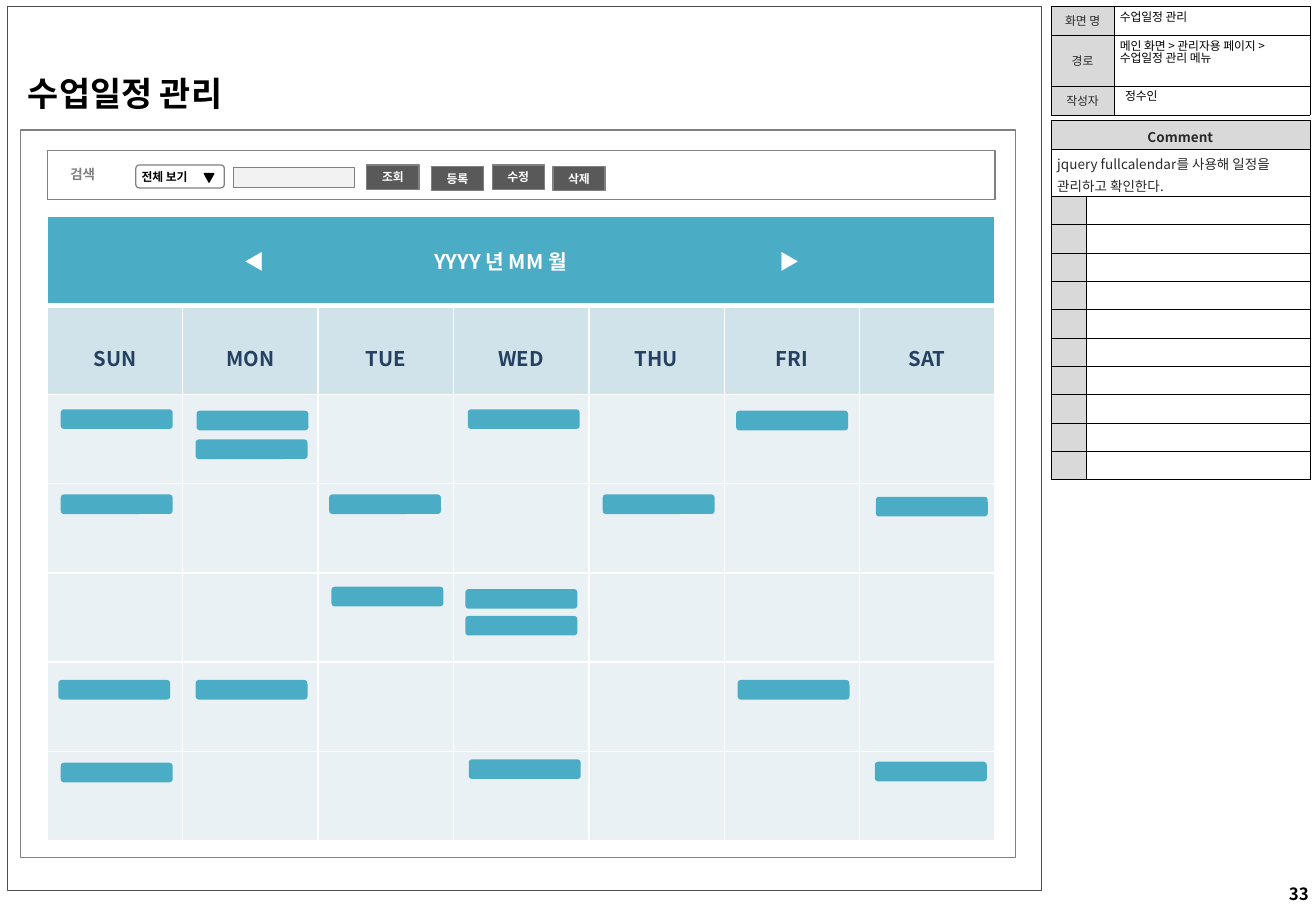
from dataclasses import dataclass
from typing import Any

from lxml.etree import SubElement
from pptx import Presentation
from pptx.dml.color import RGBColor
from pptx.enum.shapes import MSO_SHAPE as Preset
from pptx.enum.text import MSO_ANCHOR as Anchor, MSO_AUTO_SIZE as AutoSize, PP_ALIGN as Align
from pptx.oxml.ns import qn
from pptx.util import Cm, Pt

COLORS = {
    "black": "000000", "white": "FFFFFF", "ink": "292929", "frame": "4D4D4D",
    "gray": "808080", "label": "D9D9D9", "button": "595959", "field": "F2F2F2",
    "teal": "4BACC6", "navy": "254061", "weekday": "D0E3EA", "day": "E9F1F5",
}


def rgb(name):
    """Look up a named colour."""
    return RGBColor.from_string(COLORS[name])


@dataclass
class Wireframe:
    """Holds the style and the current page."""
    page: Any
    font: str = "Noto Sans CJK KR"

    def fill_text(self, frame, text, size=7, color="black", bold=False, align=Align.LEFT,
                  spacing=None, before=0, **layout):
        """Fill a text frame; each newline starts a paragraph."""
        for name, value in layout.items():
            setattr(frame, name, value)
        for index, line in enumerate(text.split("\n")):
            para = frame.paragraphs[0] if index == 0 else frame.add_paragraph()
            para.alignment, para.line_spacing = align, spacing
            para.space_before = Pt(before if index else 0)
            para.text = line
            for span in para.runs:
                values = {"size": Pt(size), "bold": bold, "name": self.font}
                for name, value in values.items():
                    setattr(span.font, name, value)
                span.font.color.rgb = rgb(color)
                SubElement(span.font._element, qn("a:ea")).set("typeface", self.font)

    def place(self, box, area):
        """Move an element to left, top, width, height in centimetres."""
        for name, value in zip(("left", "top", "width", "height"), area):
            setattr(box, name, Cm(value))

    def title(self, text, area):
        """Put the page title in its placeholder."""
        box = self.page.shapes.title
        self.place(box, area)
        self.fill_text(box.text_frame, text, size=20, bold=True, spacing=0.83,
                       vertical_anchor=Anchor.TOP, word_wrap=False, auto_size=AutoSize.NONE)

    def text(self, text, area, **style):
        """Add a wrapped text box."""
        box = self.page.shapes.add_textbox(*map(Cm, area))
        self.fill_text(box.text_frame, text, word_wrap=True, **{"spacing": 0.85, **style})

    def shape(self, area, preset=Preset.RECTANGLE, fill=None, line="gray", round_by=None,
              text="", turn=0, **style):
        """Add a flat preset shape with optional text."""
        box = self.page.shapes.add_shape(preset, *map(Cm, area))
        box.shadow.inherit = False
        box.rotation = turn
        if round_by is not None:
            box.adjustments[0] = round_by
        if fill:
            box.fill.solid()
            box.fill.fore_color.rgb = rgb(fill)
        else:
            box.fill.background()
        if line:
            box.line.color.rgb = rgb(line)
            box.line.width = Pt(0.75)
        else:
            box.line.fill.background()
        if text:
            layout = {"margin_left": 0, "margin_right": 0, "margin_top": 0,
                      "margin_bottom": 0, "vertical_anchor": Anchor.MIDDLE}
            self.fill_text(box.text_frame, text, bold=True, **{**layout, **style})

    def table(self, left, top, widths, heights):
        """Add a table without banding and return its grid."""
        area = left, top, sum(widths), sum(heights)
        grid = self.page.shapes.add_table(len(heights), len(widths), *map(Cm, area)).table
        grid.first_row = grid.horz_banding = False
        for column, width in zip(grid.columns, widths):
            column.width = Cm(width)
        for row, height in zip(grid.rows, heights):
            row.height = Cm(height)
        return grid

    def cell(self, cell, fill, text="", border=("black", 0.25), bottom=None, **style):
        """Format one table cell with borders, fill and text."""
        properties = cell._tc.get_or_add_tcPr()
        for side in "LRTB":
            width = bottom if bottom and side == "B" else border[1]
            edge = SubElement(properties, qn(f"a:ln{side}"), w=str(Pt(width)))
            paint = SubElement(edge, qn("a:solidFill"))
            SubElement(paint, qn("a:srgbClr"), val=COLORS[border[0]])
        cell.fill.solid()
        cell.fill.fore_color.rgb = rgb(fill)
        cell.vertical_anchor = Anchor.MIDDLE
        for name in ("margin_left", "margin_right", "margin_top", "margin_bottom"):
            setattr(cell, name, Cm(style.pop(name, 0)))
        if text:
            self.fill_text(cell.text_frame, text, **style)
        else:
            SubElement(cell.text_frame.paragraphs[0]._p, qn("a:endParaRPr"), sz="700")


def add_info(view):
    """Add the screen details at the top right."""
    grid = view.table(21.97, 0.13, [1.32, 4.09], [0.6, 1.07, 0.6])
    for row, label in enumerate(["화면 명", "경로", "작성자"]):
        view.cell(grid.cell(row, 0), "label", label, color="ink", align=Align.CENTER)
        view.cell(grid.cell(row, 1), "white")
    view.text("정수인", (23.27, 1.78, 4.19, 0.56))
    view.text("수업일정 관리", (23.16, 0.13, 4.19, 0.56))
    view.text("메인 화면 > 관리자용 페이지 >\v수업일정 관리 메뉴", (23.16, 0.74, 4.19, 0.86))


def add_comments(view):
    """Add the comment table with its ten empty rows."""
    grid = view.table(21.97, 2.51, [0.74, 4.67], [0.61, 0.98] + [0.593] * 10)
    for row in range(12):
        if row < 2:
            grid.cell(row, 0).merge(grid.cell(row, 1))
        for column in range(2):
            fill = "white" if row == 1 or (row > 1 and column) else "label"
            style = {}
            if column == 0 and row == 0:
                style = {"text": "Comment", "bold": True, "align": Align.CENTER}
            elif column == 0 and row == 1:
                style = {"text": "jquery fullcalendar를 사용해 일정을\n관리하고 확인한다.",
                         "before": 1.6, "margin_left": 0.13}
            view.cell(grid.cell(row, column), fill, size=8, color="ink",
                      margin_top=0.07, **style)


def add_search(view):
    """Add the search bar with its fields and buttons."""
    view.shape((0.99, 3.15, 19.81, 1.02), fill="white")
    view.shape((2.84, 3.45, 1.85, 0.48), Preset.ROUNDED_RECTANGLE, round_by=0.15,
               text="전체 보기", margin_left=Cm(0.1))
    view.text("검색", (1.22, 3.38, 2.54, 0.58), size=8, color="gray", bold=True,
              spacing=0.9, vertical_anchor=Anchor.MIDDLE)
    view.shape((4.27, 3.63, 0.2, 0.18), Preset.ISOSCELES_TRIANGLE, fill="black",
               line="black", turn=180)
    view.shape((4.88, 3.51, 2.54, 0.41), fill="field")
    buttons = {"조회": (7.67, 3.45), "등록": (9.02, 3.48),
               "수정": (10.29, 3.45), "삭제": (11.56, 3.48)}
    for label, corner in buttons.items():
        view.shape((*corner, 1.09, 0.51), Preset.ROUNDED_RECTANGLE, fill="button",
                   round_by=0, text=label, color="white", align=Align.CENTER)


def add_calendar(view):
    """Add the month grid and its event bars."""
    days = ["SUN", "MON", "TUE", "WED", "THU", "FRI", "SAT"]
    grid = view.table(0.99, 4.52, [2.83] * 7, [1.865] * 7)
    grid.cell(0, 0).merge(grid.cell(0, 6))
    line = ("white", 1)
    for column, day in enumerate(days):
        month = "" if column else "\t◀\tYYYY 년 MM 월\t▶"
        view.cell(grid.cell(0, column), "teal", month, line, bottom=3, size=12,
                  color="white", bold=True, margin_left=0.25)
        view.cell(grid.cell(1, column), "weekday", day, line, size=12, color="navy",
                  bold=True, align=Align.CENTER, spacing=1.5)
        for week in range(2, 7):
            view.cell(grid.cell(week, column), "day", border=line)
    para = grid.cell(0, 0).text_frame.paragraphs[0]
    stops = SubElement(para._p.get_or_add_pPr(), qn("a:tabLst"))
    for stop in (4.08, 9.22, 15.26):
        SubElement(stops, qn("a:tab"), pos=str(Cm(stop)), algn="ctr")
    events = {
        8.56: [1.27, 9.78], 8.59: [4.11, 15.39], 9.19: [4.09],
        10.34: [1.27, 6.88, 12.6], 10.39: [18.31],
        12.27: [6.93], 12.32: [9.73], 12.88: [9.73],
        14.22: [1.22, 4.09, 15.42],
        15.88: [9.8], 15.93: [18.29], 15.95: [1.27],
    }
    for top, lefts in events.items():
        for left in lefts:
            view.shape((left, top, 2.34, 0.41), Preset.ROUNDED_RECTANGLE,
                       fill="teal", line=None)


def main():
    """Build the class schedule screen."""
    deck = Presentation()
    deck.slide_width, deck.slide_height = Cm(27.51), Cm(19.05)
    view = Wireframe(deck.slides.add_slide(deck.slide_layouts[5]))
    view.shape((0.15, 0.13, 21.62, 18.49), line="frame")
    view.title("수업일정 관리", (0.33, 1.53, 5.03, 1.06))
    add_info(view)
    view.text("33", (25.4, 18.42, 2.11, 0.63), size=10, bold=True, align=Align.RIGHT,
              margin_right=Cm(0.15))
    add_comments(view)
    view.shape((0.43, 2.72, 20.8, 15.21), fill="white")
    add_search(view)
    add_calendar(view)
    deck.save("out.pptx")


main()
